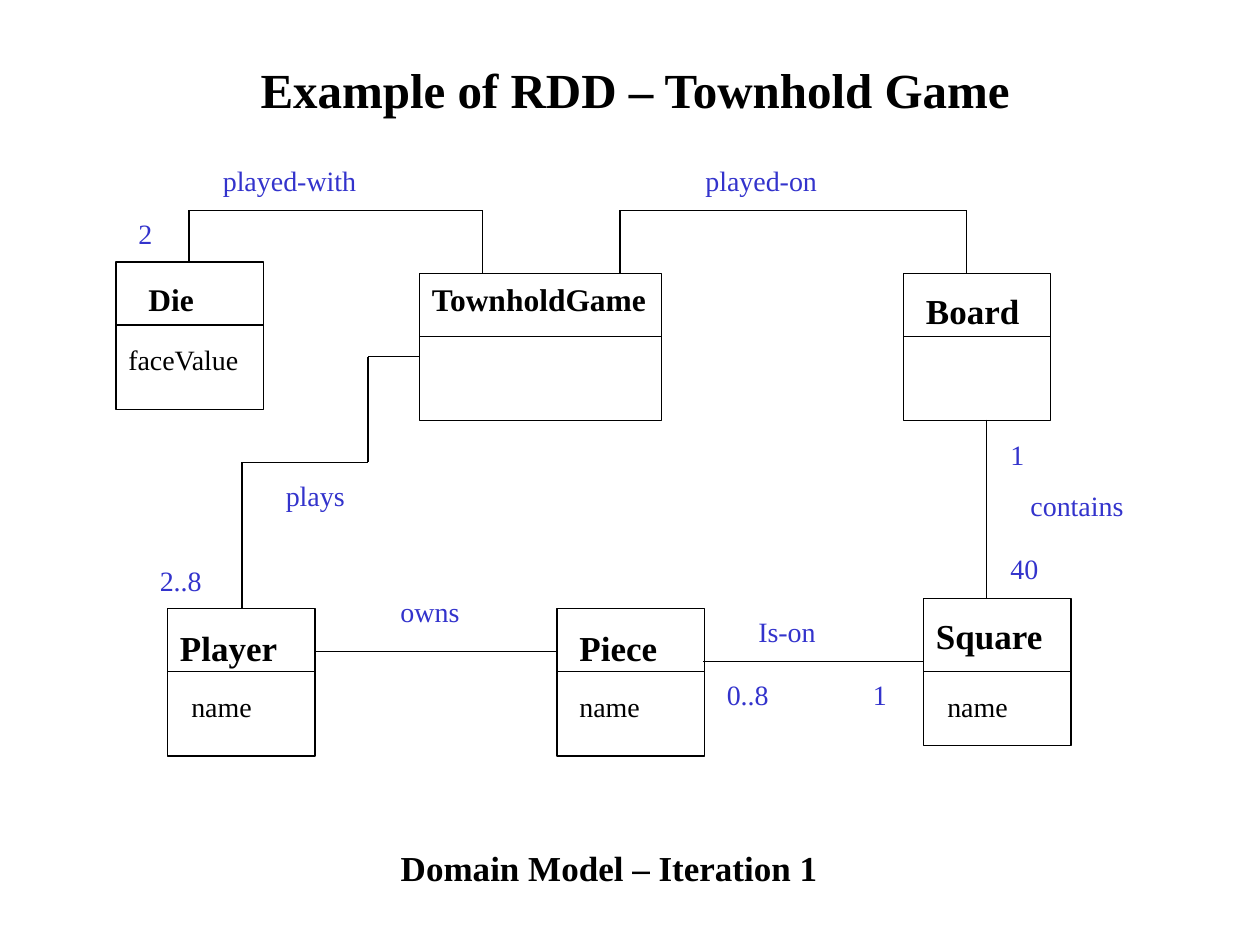
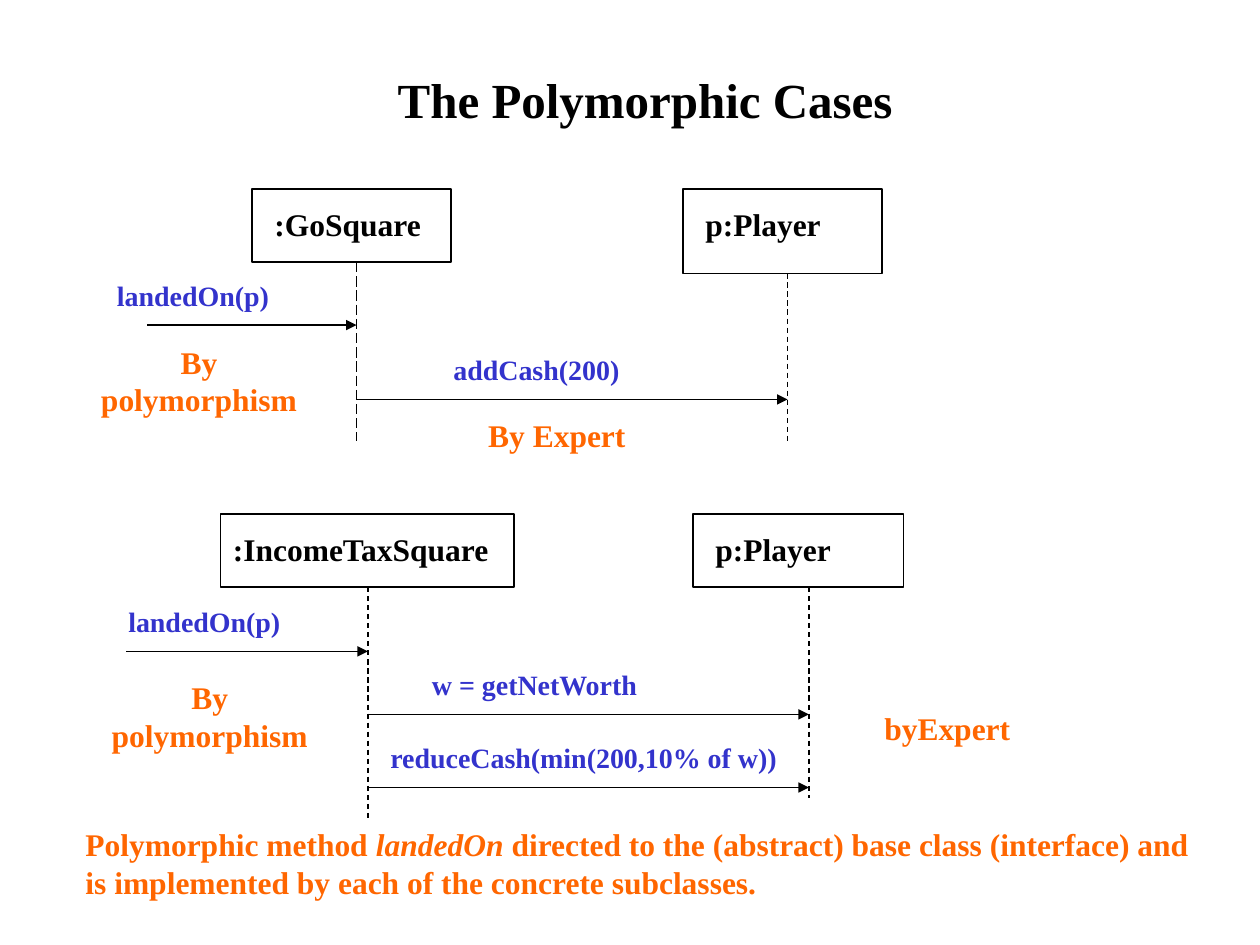
from lxml.etree import SubElement
from pptx import Presentation
from pptx.dml.color import RGBColor
from pptx.enum.dml import MSO_LINE
from pptx.enum.shapes import MSO_CONNECTOR, MSO_SHAPE
from pptx.enum.text import MSO_AUTO_SIZE, PP_ALIGN
from pptx.oxml.ns import qn
from pptx.util import Inches, Pt

BLACK = RGBColor(0x00, 0x00, 0x00)
WHITE = RGBColor(0xFF, 0xFF, 0xFF)
BLUE = RGBColor(0x33, 0x33, 0xCC)
ORANGE = RGBColor(0xFF, 0x66, 0x00)

FONT_NAME = "Times New Roman"
LINE_WIDTH = Pt(0.75)
CLASS_HEIGHT = 1.17

TITLE = {"size": Pt(28), "bold": True, "color": BLACK}
CAPTION = {"size": Pt(20), "bold": True, "color": BLACK}
OBJECT_NAME = {"size": Pt(18), "bold": True, "color": BLACK}
ATTRIBUTE = {"size": Pt(16), "bold": False, "color": BLACK}
ASSOCIATION = {"size": Pt(16), "bold": False, "color": BLUE}
MESSAGE = {"size": Pt(16), "bold": True, "color": BLUE}
REMARK = {"size": Pt(18), "bold": True, "color": ORANGE}


def format_font(font, style):
    font.name = FONT_NAME
    for attribute, value in style.items():
        if attribute == "color":
            font.color.rgb = value
        else:
            setattr(font, attribute, value)


def add_text(slide, text, left, top, width, style, align=PP_ALIGN.LEFT, lines=1):
    """Add a text box; text is a string or a list of (text, italic) runs."""
    height = 0.1 + lines * style["size"].pt / 60
    box = slide.shapes.add_textbox(Inches(left), Inches(top), Inches(width), Inches(height))
    frame = box.text_frame
    frame.word_wrap = True
    frame.auto_size = MSO_AUTO_SIZE.SHAPE_TO_FIT_TEXT
    paragraph = frame.paragraphs[0]
    paragraph.alignment = align
    runs = [(text, False)] if isinstance(text, str) else text
    for run_text, italic in runs:
        run = paragraph.add_run()
        run.text = run_text
        format_font(run.font, {**style, "italic": italic})


def add_box(slide, left, top, width, height):
    shape = slide.shapes.add_shape(
        MSO_SHAPE.RECTANGLE, Inches(left), Inches(top), Inches(width), Inches(height))
    shape.shadow.inherit = False
    shape.fill.solid()
    shape.fill.fore_color.rgb = WHITE
    shape.line.color.rgb = BLACK
    shape.line.width = LINE_WIDTH


def add_line(slide, start, end, dash=None, arrow=False):
    connector = slide.shapes.add_connector(
        MSO_CONNECTOR.STRAIGHT, *[Inches(value) for value in (*start, *end)])
    line = connector.line
    line.color.rgb = BLACK
    line.width = LINE_WIDTH
    if dash:
        line.dash_style = dash
    properties = connector._element.spPr
    if arrow:
        SubElement(properties.find(qn("a:ln")), qn("a:tailEnd"), type="triangle")
    SubElement(properties, qn("a:effectLst"))


def add_path(slide, *points):
    for start, end in zip(points, points[1:]):
        add_line(slide, start, end)


def add_class(slide, name, left, top, width, name_at, divider,
              name_style=CAPTION, attribute=None, attribute_left=None):
    """Add a UML class: a box, its name, a divider and an optional attribute."""
    right = left + width
    name_left, name_top = name_at
    add_box(slide, left, top, width, CLASS_HEIGHT)
    add_text(slide, name, name_left, name_top, width + 0.08, name_style)
    add_line(slide, (left, divider), (right, divider))
    if attribute:
        add_text(slide, attribute, attribute_left, divider + 0.09, width, ATTRIBUTE)


def add_object(slide, name, box, name_left, lifeline, end, dash=MSO_LINE.DASH):
    """Add a sequence diagram object with a lifeline from its box down to end."""
    left, top, width, height = box
    add_box(slide, *box)
    add_line(slide, (lifeline, top + height), (lifeline, end), dash)
    add_text(slide, name, name_left, top + 0.08, width, OBJECT_NAME)


def add_message(slide, label, label_left, label_width, start, end, y):
    add_line(slide, (start, y), (end, y), arrow=True)
    add_text(slide, label, label_left, y - 0.42, label_width, MESSAGE)


def build_domain_model(slide):
    add_text(slide, "Example of RDD – Townhold Game", 1.5, 0.42, 7.08, TITLE, PP_ALIGN.CENTER)

    add_class(slide, "TownholdGame", 3.33, 2.17, 1.92, (3.33, 2.17), 2.67, OBJECT_NAME)
    add_class(slide, "Board", 7.17, 2.17, 1.17, (7.25, 2.25), 2.67)
    add_class(slide, "Piece", 4.42, 4.83, 1.17, (4.5, 4.92), 5.33, CAPTION, "name", 4.5)
    add_class(slide, "Player", 1.33, 4.83, 1.17, (1.33, 4.92), 5.33, CAPTION, "name", 1.42)
    add_class(slide, "Die", 0.92, 2.08, 1.17, (1.08, 2.17), 2.58, OBJECT_NAME, "faceValue", 0.92)
    add_class(slide, "Square", 7.33, 4.75, 1.17, (7.33, 4.83), 5.33, CAPTION, "name", 7.42)

    associations = [
        [(1.5, 2.08), (1.5, 1.67), (3.83, 1.67), (3.83, 2.17)],
        [(4.92, 2.17), (4.92, 1.67), (7.67, 1.67), (7.67, 2.17)],
        [(7.83, 3.33), (7.83, 4.75)],
        [(5.58, 5.25), (7.33, 5.25)],
        [(2.5, 5.17), (4.42, 5.17)],
        [(1.92, 4.83), (1.92, 3.67), (2.92, 3.67), (2.92, 2.83), (3.33, 2.83)],
    ]
    for points in associations:
        add_path(slide, *points)

    labels = [
        ("plays", 2.17, 3.75, 1), ("owns", 3.08, 4.67, 0.75),
        ("Is-on", 5.92, 4.83, 1.17), ("contains", 8.08, 3.83, 1.08),
        ("played-with", 1.67, 1.25, 1.92), ("played-on", 5.5, 1.25, 1.67),
        ("1", 7.92, 3.42, 0.33), ("40", 7.92, 4.33, 0.58),
        ("0..8", 5.67, 5.33, 0.67), ("1", 6.83, 5.33, 0.42),
        ("2", 1, 1.67, 0.42), ("2..8", 1.17, 4.42, 0.67),
    ]
    for text, left, top, width in labels:
        add_text(slide, text, left, top, width, ASSOCIATION)

    add_text(slide, "Domain Model – Iteration 1", 1.92, 6.67, 5.83, CAPTION, PP_ALIGN.CENTER)


def build_polymorphic_cases(slide):
    add_text(slide, "The Polymorphic Cases", 1.33, 0.5, 7.58, TITLE, PP_ALIGN.CENTER)

    go_line, go_player_line = 2.83, 6.25
    add_object(slide, ":GoSquare", (2, 1.5, 1.58, 0.58), 2.08, go_line, 3.5, MSO_LINE.LONG_DASH)
    add_object(slide, "p:Player", (5.42, 1.5, 1.58, 0.67), 5.5, go_player_line, 3.5)
    add_message(slide, "landedOn(p)", 0.83, 1.83, 1.17, go_line, 2.58)
    add_message(slide, "addCash(200)", 3.5, 2, go_line, go_player_line, 3.17)
    add_text(slide, "By polymorphism", 0.58, 2.67, 2, REMARK, PP_ALIGN.CENTER, lines=2)
    add_text(slide, "By Expert", 3.17, 3.25, 2.5, REMARK, PP_ALIGN.CENTER)

    tax_line, tax_player_line = 2.92, 6.42
    add_object(slide, ":IncomeTaxSquare", (1.75, 4.08, 2.33, 0.58), 1.75, tax_line, 6.5)
    add_object(slide, "p:Player", (5.5, 4.08, 1.67, 0.58), 5.58, tax_player_line, 6.33)
    add_message(slide, "landedOn(p)", 0.92, 2, 1, tax_line, 5.17)
    add_message(slide, "w = getNetWorth", 3.33, 2.5, tax_line, tax_player_line, 5.67)
    add_message(slide, "reduceCash(min(200,10% of w))", 3, 3.42, tax_line, tax_player_line, 6.25)
    add_text(slide, "By polymorphism", 0.75, 5.33, 1.83, REMARK, PP_ALIGN.CENTER, lines=2)
    add_text(slide, "byExpert", 6.92, 5.58, 2, REMARK)

    summary = [
        ("Polymorphic method ", False),
        ("landedOn", True),
        (" directed to the (abstract) base class (interface) and is implemented "
         "by each of the concrete subclasses.", False),
    ]
    add_text(slide, summary, 0.58, 6.5, 9, REMARK, lines=2)


def main():
    presentation = Presentation()
    presentation.slide_width = Inches(10)
    presentation.slide_height = Inches(7.5)
    blank = presentation.slide_layouts[6]
    for build in (build_domain_model, build_polymorphic_cases):
        build(presentation.slides.add_slide(blank))
    presentation.save("out.pptx")


if __name__ == "__main__":
    main()
